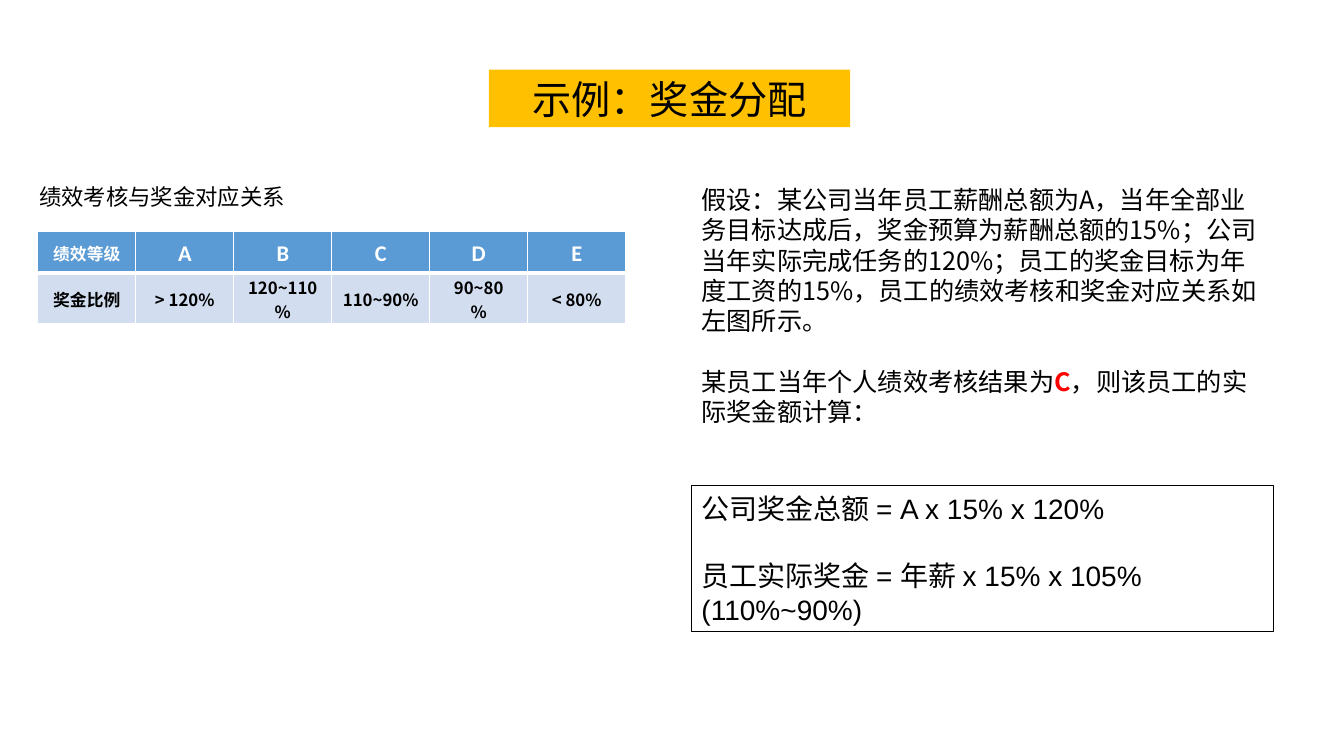
from lxml import etree
from pptx import Presentation
from pptx.dml.color import RGBColor
from pptx.enum import shapes, text
from pptx.oxml import ns
from pptx.util import Pt

HUES = {"black": "000000", "white": "FFFFFF", "red": "FF0000",
        "gold": "FFC000", "blue": "5B9BD5", "pale": "D2DEEF"}
SANS = "Noto Sans CJK SC"


def hue(name):
    return RGBColor.from_string(HUES[name])


def write(para, words, size=18, font=SANS, color="black", bold=False):
    """Add one run of text to a paragraph."""
    run = para.add_run()
    run.text = words
    run.font.size, run.font.name, run.font.bold = Pt(size), font, bold
    run.font.color.rgb = hue(color)
    # East Asian characters use the same face throughout
    asian = etree.SubElement(run._r.get_or_add_rPr(), ns.qn("a:ea"))
    asian.set("typeface", SANS)


class Page:
    def __init__(self, deck):
        self.slide = deck.slides.add_slide(deck.slide_layouts[6])
        self.lead = 1.2  # line height as a multiple of text size

    def fill(self, frame, paras, size, align=None, **style):
        """Each paragraph is a list of (words, run style) pairs."""
        frame.word_wrap = True
        for i, runs in enumerate(paras):
            para = frame.add_paragraph() if i else frame.paragraphs[0]
            para.alignment = align
            para.line_spacing = Pt(size * self.lead)
            para.space_before = Pt(size * self.lead if i else 0)
            for words, extra in runs:
                write(para, words, size=size, **{**style, **extra})

    def label(self, box, paras, **style):
        shape = self.slide.shapes.add_textbox(*map(Pt, box))
        self.fill(shape.text_frame, paras, **style)

    def panel(self, box, paras, back=None, edge=None, **style):
        shape = self.slide.shapes.add_shape(
            shapes.MSO_SHAPE.RECTANGLE, *map(Pt, box))
        shape.shadow.inherit = False
        if back:
            shape.fill.solid()
            shape.fill.fore_color.rgb = hue(back)
        else:
            shape.fill.background()
        if edge:
            shape.line.color.rgb = hue(edge)
            shape.line.width = Pt(0.75)
        else:
            shape.line.fill.background()
        self.fill(shape.text_frame, paras, **style)

    def rule(self, cell, side, width):
        """Draw one white border of a cell."""
        line = etree.SubElement(cell._tc.get_or_add_tcPr(),
                                ns.qn("a:ln" + side), w=str(Pt(width)))
        solid = etree.SubElement(line, ns.qn("a:solidFill"))
        etree.SubElement(solid, ns.qn("a:srgbClr"), val=HUES["white"])

    def cell(self, cell, words, back, edges, **style):
        for side, width in zip("LRTB", edges):
            self.rule(cell, side, width)
        cell.fill.solid()
        cell.fill.fore_color.rgb = hue(back)
        cell.vertical_anchor = text.MSO_ANCHOR.MIDDLE
        cell.margin_top, cell.margin_bottom = Pt(2), Pt(0)
        for i, part in enumerate(words.split("\n")):
            frame = cell.text_frame
            para = frame.add_paragraph() if i else frame.paragraphs[0]
            para.alignment = text.PP_ALIGN.CENTER
            para.line_spacing = Pt(17 if style["size"] == 12 else 20)
            write(para, part, bold=True, **style)

    def table(self, box, rows, highs):
        grid = self.slide.shapes.add_table(
            len(rows), len(rows[0]), *map(Pt, box)).table
        for col in grid.columns:
            col.width = Pt(box[2] / len(rows[0]))
        for r, row in enumerate(rows):
            grid.rows[r].height = Pt(highs[r])
            for c, words in enumerate(row):
                if r == 0:
                    style = dict(back="blue", color="white", edges=(1, 1, 1, 3))
                else:
                    style = dict(back="pale", edges=(1, 1, 3, 1))
                big = r == 0 and c > 0
                self.cell(grid.cell(r, c), words, size=16 if big else 12,
                          font="Calibri" if big else SANS, **style)


def main():
    deck = Presentation()
    deck.slide_width, deck.slide_height = Pt(960), Pt(540)
    page = Page(deck)

    # Title
    page.panel((349.2, 49.8, 258, 41), [[("示例：奖金分配", {})]],
               back="gold", size=28, align=text.PP_ALIGN.CENTER)

    # Grades and bonus ratios
    page.label((21, 127.5, 250, 26.6), [[("绩效考核与奖金对应关系", {})]], size=16)
    page.table((27, 165.6, 420, 65.5), [
        ["绩效等级", "A", "B", "C", "D", "E"],
        ["奖金比例", "> 120%", "120~110%", "110~90%", "90~80\n%", "< 80%"],
    ], highs=(29.5, 36))

    # Assumptions
    page.label((494, 128.2, 416, 181.4), [
        [("假设：某公司当年员工薪酬总额为A，当年全部业务目标达成后，"
          "奖金预算为薪酬总额的15%；公司当年实际完成任务的120%；"
          "员工的奖金目标为年度工资的15%，员工的绩效考核和奖金对应关系如左图所示。", {})],
        [("某员工当年个人绩效考核结果为", {}),
         ("C", dict(color="red", bold=True)),
         ("，则该员工的实际奖金额计算：", {})],
    ], size=18)

    # Formulas
    page.panel((494, 347, 416, 104.4), [
        [("公司奖金总额 = A x 15% x 120%", {})],
        [("员工实际奖金 = 年薪 x 15% x 105% (110%~90%)", {})],
    ], edge="black", size=20, font="Arial", align=text.PP_ALIGN.LEFT)

    deck.save("out.pptx")


if __name__ == "__main__":
    main()
